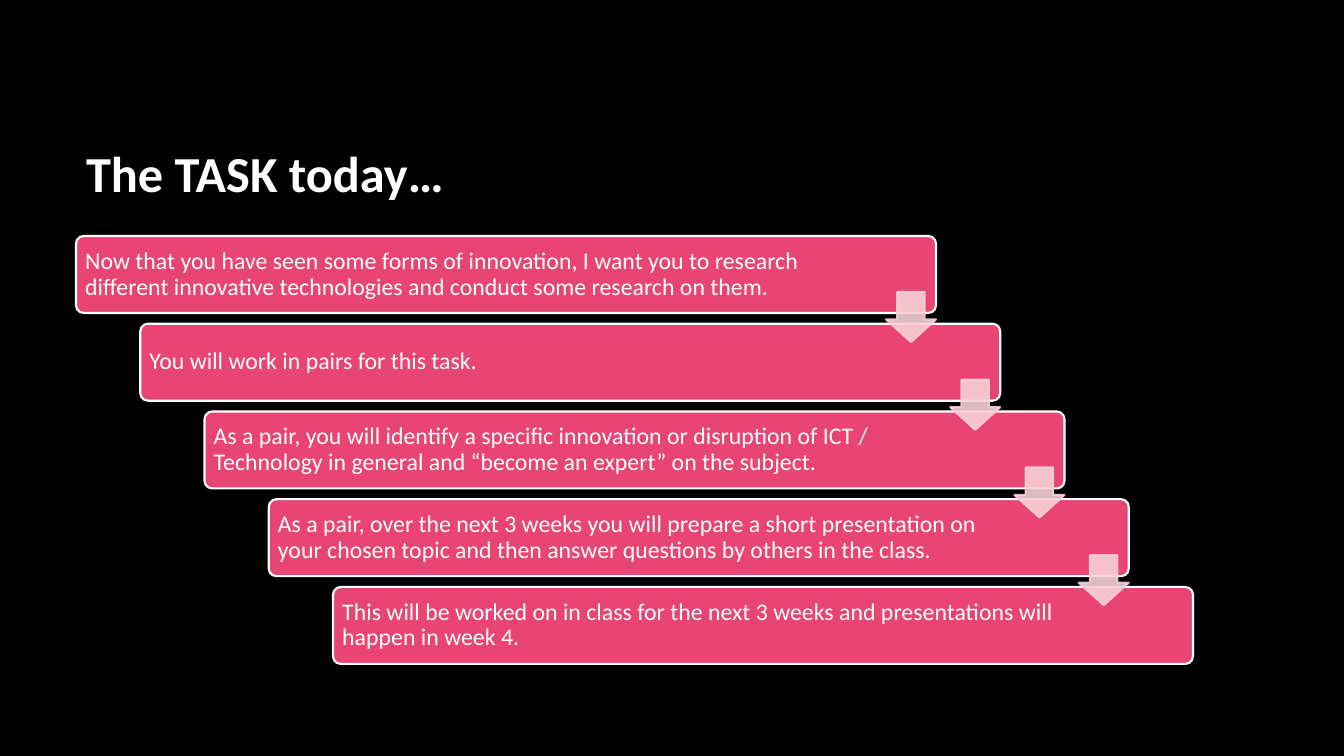
import pptx
import pptx.util
import pptx.dml.color
import pptx.enum.shapes
import pptx.enum.text
import pptx.oxml

PX = 914400 / 100.8
SHAPE = pptx.enum.shapes.MSO_SHAPE
FONT = "Calibri"
WHITE, BLACK, PINK, PALE = "FFFFFF", "000000", "E84574", "F6CFD6"
STEPS = [
    "Now that you have seen some forms of innovation, I want you to research "
    "different innovative technologies and conduct some research on them.",
    "You will work in pairs for this task.",
    "As a pair, you will identify a specific innovation or disruption of ICT / "
    "Technology in general and “become an expert” on the subject.",
    "As a pair, over the next 3 weeks you will prepare a short presentation on "
    "your chosen topic and then answer questions by others in the class.",
    "This will be worked on in class for the next 3 weeks and presentations will "
    "happen in week 4.",
]


def px(n):
    """Turn pixels into EMU."""
    return pptx.util.Emu(round(n * PX))


def rgb(code):
    """Turn a hex string into a colour."""
    return pptx.dml.color.RGBColor.from_string(code)


def set_text(tf, text, size, bold=False):
    """Write one left-aligned, vertically centred white paragraph."""
    tf.word_wrap = True
    tf.vertical_anchor = pptx.enum.text.MSO_ANCHOR.MIDDLE
    p = tf.paragraphs[0]
    p.text = text
    p.alignment = pptx.enum.text.PP_ALIGN.LEFT
    p.font.name = FONT
    p.font.size = pptx.util.Pt(size)
    p.font.bold = bold
    p.font.color.rgb = rgb(WHITE)
    return p


def add_block(slide, kind, x, y, w, h, fill, line, adjustments):
    """Add a flat preset shape with a solid fill and outline."""
    sp = slide.shapes.add_shape(kind, px(x), px(y), px(w), px(h))
    sp.shadow.inherit = False
    sp.fill.solid()
    sp.fill.fore_color.rgb = rgb(fill)
    sp.line.color.rgb = rgb(line)
    sp.line.width = pptx.util.Pt(1.5)
    for i, value in enumerate(adjustments):
        sp.adjustments[i] = value
    return sp


def add_title(slide, x, y, w, h):
    """Place and format the title placeholder."""
    sp = slide.shapes.title
    sp.left, sp.top, sp.width, sp.height = px(x), px(y), px(w), px(h)
    set_text(sp.text_frame, "The TASK today…", 36, bold=True)


def add_step(slide, text, x, y, w, h, right_inset):
    """Add one step of the staircase with its text."""
    sp = add_block(slide, SHAPE.ROUNDED_RECTANGLE, x, y, w, h, PINK, WHITE, [0.1])
    tf = sp.text_frame
    tf.margin_left = tf.margin_top = tf.margin_bottom = px(7)
    tf.margin_right = px(right_inset)
    set_text(tf, text, 17).line_spacing = 0.9


def add_arrow(slide, x, y, size):
    """Add a translucent down arrow."""
    sp = add_block(slide, SHAPE.DOWN_ARROW, x, y, size, size, PALE, PALE, [0.55, 0.45])
    for color in sp._element.spPr.iter(pptx.oxml.ns.qn("a:srgbClr")):
        alpha = pptx.oxml.xmlchemy.OxmlElement("a:alpha")
        alpha.set("val", "90000")
        color.append(alpha)


def add_staircase(slide, x, y, w, h):
    """Fill the box with descending steps joined by arrows."""
    step_w, step_h, arrow = 860, 77, 50
    gaps = len(STEPS) - 1
    dx, dy = (w - step_w) / gaps, (h - step_h) / gaps
    for i, text in enumerate(STEPS):
        right_inset = 122 if i else 95
        add_step(slide, text, x + i * dx, y + i * dy, step_w, step_h, right_inset)
    for i in range(gaps):
        add_arrow(slide, x + i * dx + step_w - arrow, y + i * dy + 56, arrow)


def main():
    """Build and save the slide."""
    prs = pptx.Presentation()
    prs.slide_width, prs.slide_height = px(1344), px(756)
    slide = prs.slides.add_slide(prs.slide_layouts[5])
    slide.background.fill.solid()
    slide.background.fill.fore_color.rgb = rgb(BLACK)
    add_title(slide, 76, 92, 1117, 160)
    add_staircase(slide, 76, 236, 1117, 428)
    prs.save("out.pptx")


if __name__ == "__main__":
    main()
